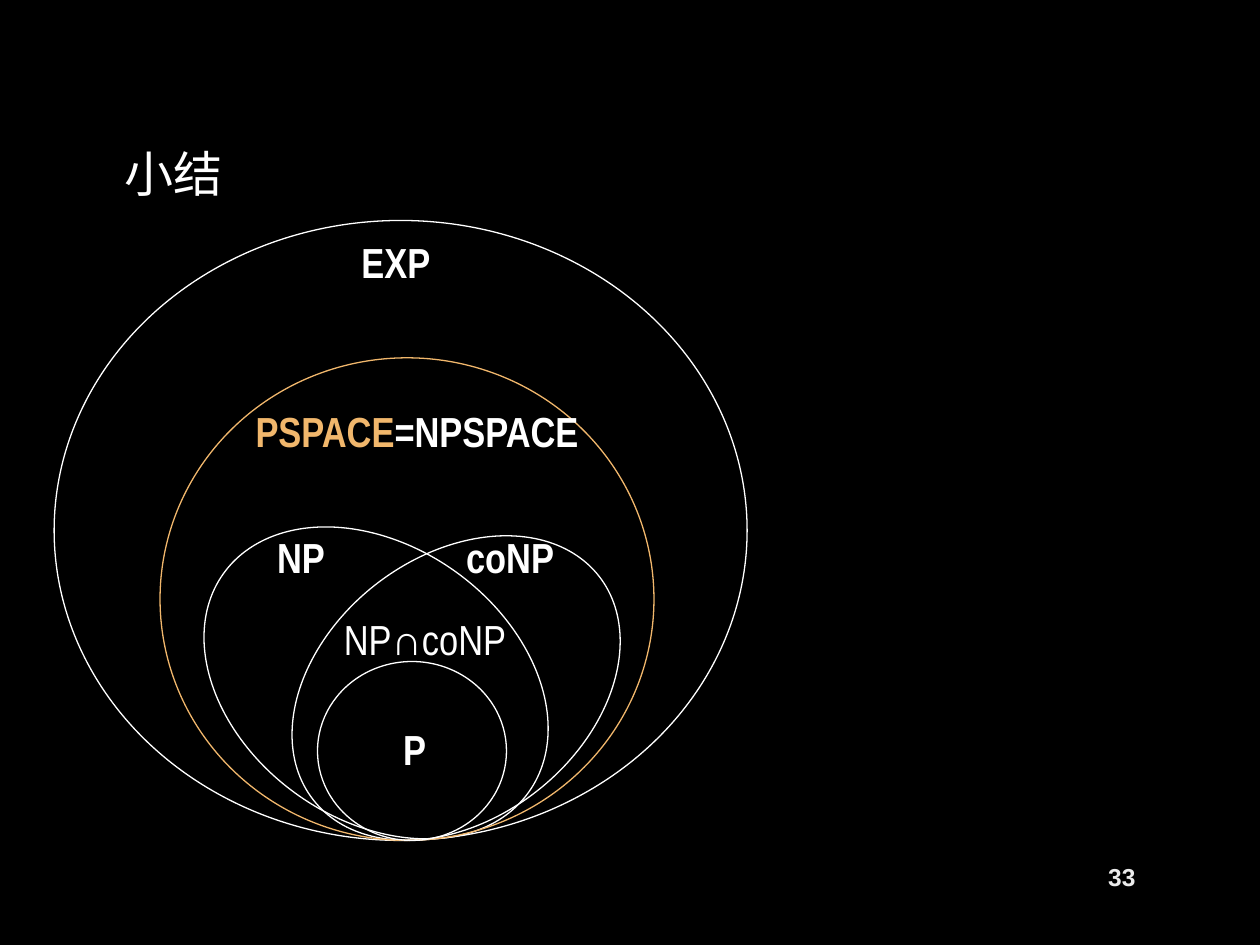
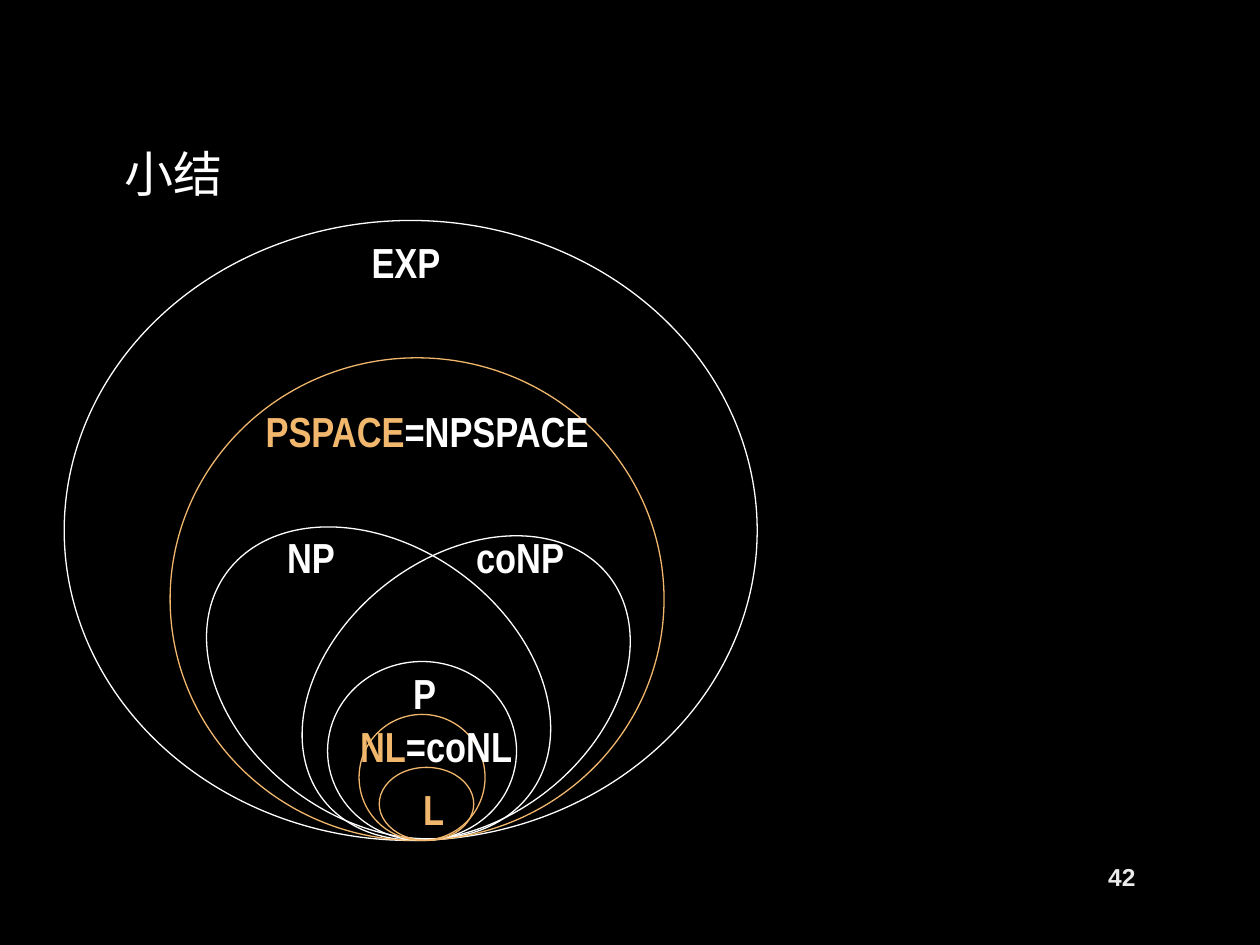
from pptx import Presentation
from pptx.dml.color import RGBColor
from pptx.enum.shapes import MSO_SHAPE
from pptx.enum.text import MSO_ANCHOR, PP_ALIGN
from pptx.util import Inches, Pt

# Shared look
BLACK, WHITE, ORANGE, PALE = "000000", "FFFFFF", "F1B76C", "EBEBEB"
TITLE_FONT, LABEL_FONT, NUMBER_FONT = "Quicksand", "Arial Narrow", "Arial"
TITLE_BOX = (0.89, 0.65, 8.21, 1.44)
NUMBER_BOX = (8.66, 6.76, 0.45, 0.4)
LABEL_HEIGHT = 0.5
DIAGRAM_TOP, DIAGRAM_WIDTH, DIAGRAM_HEIGHT = 1.75, 5.5, 4.92


def colour(value):
    return RGBColor.from_string(value)


def add_span(para, text, font, size, ink, bold=False):
    span = para.add_run()
    span.text = text
    span.font.name = font
    span.font.size = Pt(size)
    span.font.bold = bold
    span.font.color.rgb = colour(ink)


def add_text_box(page, box):
    frame = page.shapes.add_textbox(*map(Inches, box)).text_frame
    frame.word_wrap = True
    return frame


def add_page(deck, title, number):
    """Black page with a title and a page number."""
    page = deck.slides.add_slide(deck.slide_layouts[5])
    page.background.fill.solid()
    page.background.fill.fore_color.rgb = colour(BLACK)

    heading = page.shapes.title
    heading.left, heading.top, heading.width, heading.height = map(Inches, TITLE_BOX)
    heading.text_frame.vertical_anchor = MSO_ANCHOR.MIDDLE
    para = heading.text_frame.paragraphs[0]
    para.alignment = PP_ALIGN.LEFT
    add_span(para, title, TITLE_FONT, 28, WHITE)

    frame = add_text_box(page, NUMBER_BOX)
    frame.vertical_anchor = MSO_ANCHOR.MIDDLE
    para = frame.paragraphs[0]
    para.alignment = PP_ALIGN.RIGHT
    add_span(para, number, NUMBER_FONT, 14, PALE, bold=True)
    return page


def add_ellipse(page, box, ink=WHITE, rotation=0):
    ellipse = page.shapes.add_shape(MSO_SHAPE.OVAL, *map(Inches, box))
    ellipse.shadow.inherit = False
    ellipse.fill.background()
    ellipse.line.color.rgb = colour(ink)
    ellipse.line.width = Pt(0.75)
    ellipse.rotation = rotation


def add_diagram(page, left, np_left, inner_classes, inner_labels):
    """Nested complexity classes; offsets count from the EXP ellipse's corner."""

    def place(x, y, width, height):
        return left + x, DIAGRAM_TOP + y, width, height

    # NP and coNP lean towards each other
    add_ellipse(page, place(np_left, 2.18, 2.17, 2.98), rotation=305.7)
    add_ellipse(page, place(2.15, 2.27, 2.08, 2.88), rotation=51.9)

    # Upright classes all stand on the bottom of EXP: x, width, height, ink
    classes = [
        (0, DIAGRAM_WIDTH, DIAGRAM_HEIGHT, WHITE),
        (0.84, 3.92, 3.83, ORANGE),
        (2.09, 1.5, 1.42, WHITE),
    ]
    for x, width, height, ink in classes + inner_classes:
        add_ellipse(page, place(x, DIAGRAM_HEIGHT - height, width, height), ink)

    # Labels: x, y, width, bold, spans
    labels = [
        (2.34, 0.08, 0.75, True, [("EXP", WHITE)]),
        (1.5, 1.42, 3, True, [("PSPACE", ORANGE), ("=NPSPACE", WHITE)]),
        (1.67, 2.42, 0.75, True, [("NP", WHITE)]),
        (3.17, 2.42, 1.08, True, [("coNP", WHITE)]),
    ]
    for x, y, width, bold, spans in labels + inner_labels:
        para = add_text_box(page, place(x, y, width, LABEL_HEIGHT)).paragraphs[0]
        for text, ink in spans:
            add_span(para, text, LABEL_FONT, 24, ink, bold)


def main():
    deck = Presentation()
    deck.slide_width, deck.slide_height = Inches(10), Inches(7.5)

    # Time classes and PSPACE
    page = add_page(deck, "小结", "33")
    add_diagram(page, 0.43, 1.47, [], [
        (2.2, 3.07, 1.58, False, [("NP∩coNP", WHITE)]),
        (2.67, 3.94, 0.58, True, [("P", WHITE)]),
    ])

    # With the logarithmic space classes
    page = add_page(deck, "小结", "42")
    add_diagram(page, 0.51, 1.41, [
        (2.34, 1, 1, ORANGE),
        (2.5, 0.75, 0.58, ORANGE),
    ], [
        (2.67, 3.5, 0.58, True, [("P", WHITE)]),
        (2.25, 3.92, 1.5, True, [("NL", ORANGE), ("=coNL", WHITE)]),
        (2.75, 4.42, 0.5, True, [("L", ORANGE)]),
    ])

    deck.save("out.pptx")


if __name__ == "__main__":
    main()
